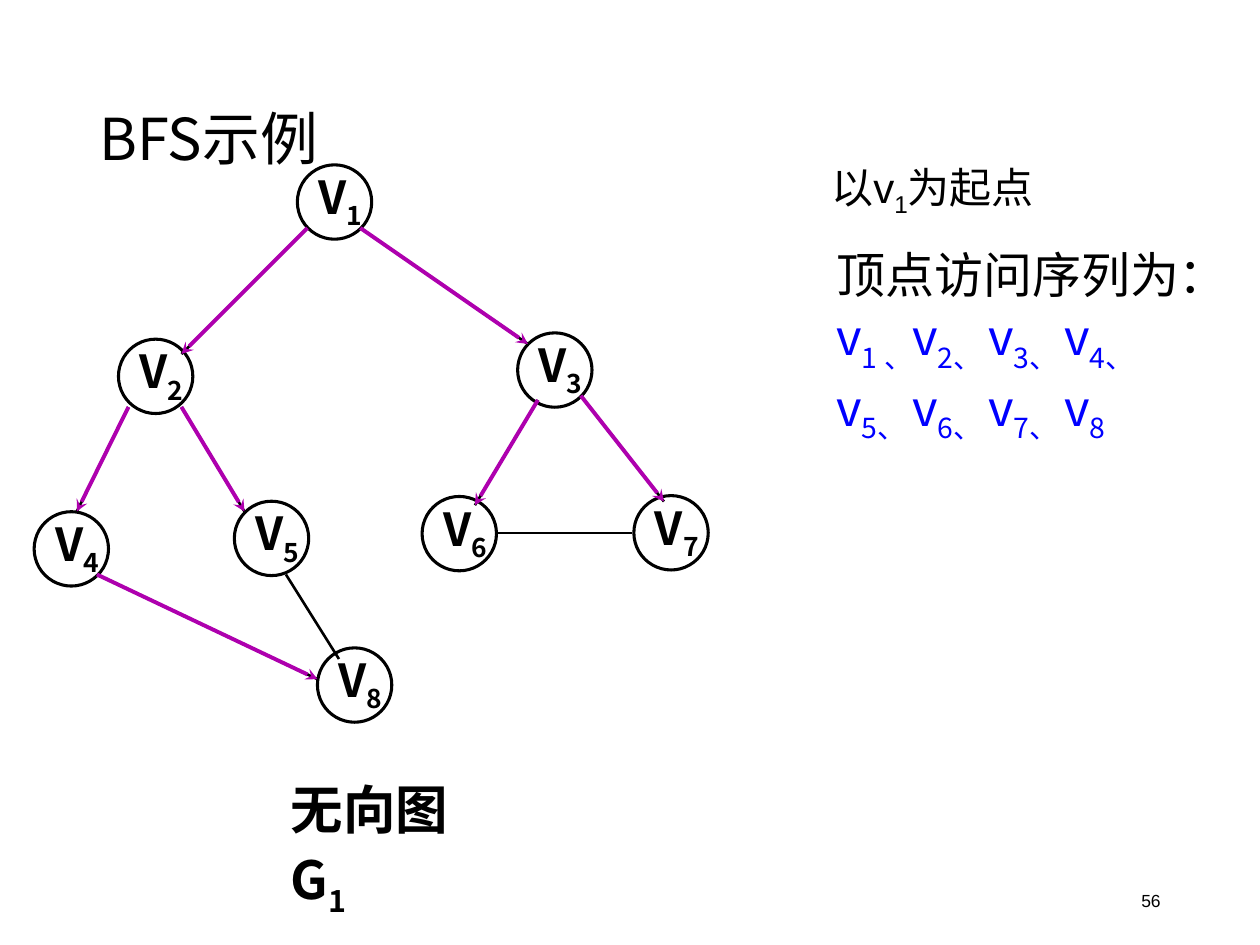
from lxml.etree import SubElement
from pptx import Presentation
from pptx.dml.color import RGBColor
from pptx.enum.shapes import MSO_CONNECTOR, MSO_SHAPE
from pptx.enum.text import MSO_ANCHOR, PP_ALIGN
from pptx.oxml.ns import qn
from pptx.util import Pt

COLORS = {"ink": "000000", "visit": "AE00AE", "order": "0000FF"}
CJK = "Noto Sans CJK SC"
DIAMETER = 42.5
NODES = {
    "1": (169.9, 94.2), "8": (181.4, 370.2), "2": (67.7, 193.8), "3": (295.8, 190.2),
    "6": (241.2, 283.7), "7": (362.2, 283.2), "4": (19.5, 292.4), "5": (133.9, 286.4),
}
TREE_EDGES = [
    (175.7, 130.3, 103.7, 202.3),
    (73.4, 232.6, 43.9, 292.3),
    (103.7, 232.6, 139.7, 292.3),
    (55.4, 328.3, 181.4, 388.1),
    (205.9, 130.3, 301.7, 196.6),
    (307.4, 228.6, 271.4, 288.7),
    (331.9, 226.1, 379.4, 286.6),
]
OTHER_EDGES = [(163.4, 328.3, 193.7, 376.6), (283.7, 304.6, 361.4, 304.6)]


def color(name):
    """Return the named colour."""
    return RGBColor.from_string(COLORS[name])


def add_span(para, text, size, tone="ink", font=CJK, bold=False, sub=False):
    """Add one formatted run, optionally as a subscript."""
    span = para.add_run()
    span.text = text
    span.font.size = Pt(size)
    span.font.name = font
    span.font.bold = bold
    span.font.color.rgb = color(tone)
    properties = span.font._element
    SubElement(properties, qn("a:ea")).set("typeface", CJK)
    if sub:
        properties.set("baseline", "-25000")


def set_frame(box, insets=(7.2, 3.6, 7.2, 3.6), anchor=MSO_ANCHOR.TOP, wrap=True):
    """Set the insets, anchor and wrapping, and return the first paragraph."""
    frame = box.text_frame
    frame.margin_left, frame.margin_top, frame.margin_right, frame.margin_bottom = map(Pt, insets)
    frame.vertical_anchor = anchor
    frame.word_wrap = wrap
    para = frame.paragraphs[0]
    para.alignment = PP_ALIGN.LEFT
    return para


def add_box(page, left, top, width, height, **frame):
    """Add a text box and return its first paragraph."""
    box = page.shapes.add_textbox(Pt(left), Pt(top), Pt(width), Pt(height))
    return set_frame(box, **frame)


def add_node(page, number, left, top):
    """Add one circled vertex with its label."""
    node = page.shapes.add_shape(MSO_SHAPE.OVAL, Pt(left), Pt(top), Pt(DIAMETER), Pt(DIAMETER))
    node.shadow.inherit = False
    node.fill.background()
    node.line.color.rgb = color("ink")
    node.line.width = Pt(1.75)
    para = set_frame(node, (5.8, 0.7, 5.8, 6.5), MSO_ANCHOR.MIDDLE, False)
    para.line_spacing = 1.1
    para.space_before = Pt(8.1)
    add_span(para, "V", 26, bold=True)
    add_span(para, number, 26, bold=True, sub=True)


def add_edge(page, ends, tone, width, arrow=False):
    """Add one straight edge, with an arrowhead if it is visited."""
    edge = page.shapes.add_connector(MSO_CONNECTOR.STRAIGHT, *map(Pt, ends))
    edge.line.color.rgb = color(tone)
    edge.line.width = Pt(width)
    if arrow:
        SubElement(edge.line._get_or_add_ln(), qn("a:tailEnd")).set("type", "stealth")
    SubElement(edge._element.spPr, qn("a:effectLst"))


def add_caption(page):
    """Add the name of the graph."""
    para = add_box(page, 159.1, 437, 139.7, 52.6, insets=(7.2, 3.6, 21, 3.6))
    para.line_spacing = 1.1
    para.space_before = Pt(9.4)
    add_span(para, "无向图G", 30, bold=True)
    add_span(para, "1", 30, bold=True, sub=True)


def add_visit_order(page):
    """Add the heading and the sequence of visited vertices."""
    heading = add_box(page, 470.9, 134.6, 226.8, 236.9)
    heading.line_spacing = 1.05
    add_span(heading, "顶点访问序列为：", 28)
    para = heading._parent.add_paragraph()
    para.line_spacing = 1.05
    for label in ["1 、", *(f"{number}、 " for number in range(2, 8)), "8"]:
        add_span(para, "v", 28, "order")
        add_span(para, label, 28, "order", sub=True)


def add_start(page):
    """Add the note on the starting vertex."""
    para = add_box(page, 468, 88.6, 215.3, 40.3)
    add_span(para, "以v", 24, font="Arial")
    add_span(para, "1", 24, font="Arial", sub=True)
    add_span(para, "为起点", 24, font="Arial")


def main():
    """Build the slide and save it."""
    deck = Presentation()
    deck.slide_width, deck.slide_height = Pt(720), Pt(540)
    page = deck.slides.add_slide(deck.slide_layouts[6])
    title = add_box(page, 49.7, 28.8, 621.4, 104.4, anchor=MSO_ANCHOR.MIDDLE)
    title.line_spacing = 0.9
    add_span(title, "BFS示例", 33)
    number = add_box(page, 508.3, 500.4, 162, 28.8, anchor=MSO_ANCHOR.MIDDLE)
    number.alignment = PP_ALIGN.RIGHT
    add_span(number, "56", 10, font="Arial")
    for label, (left, top) in NODES.items():
        add_node(page, label, left, top)
    for ends in TREE_EDGES + OTHER_EDGES:
        add_edge(page, ends, "ink", 1.5)
    add_caption(page)
    for ends in TREE_EDGES:
        add_edge(page, ends, "visit", 2.25, arrow=True)
    add_visit_order(page)
    add_start(page)
    deck.save("out.pptx")


if __name__ == "__main__":
    main()
